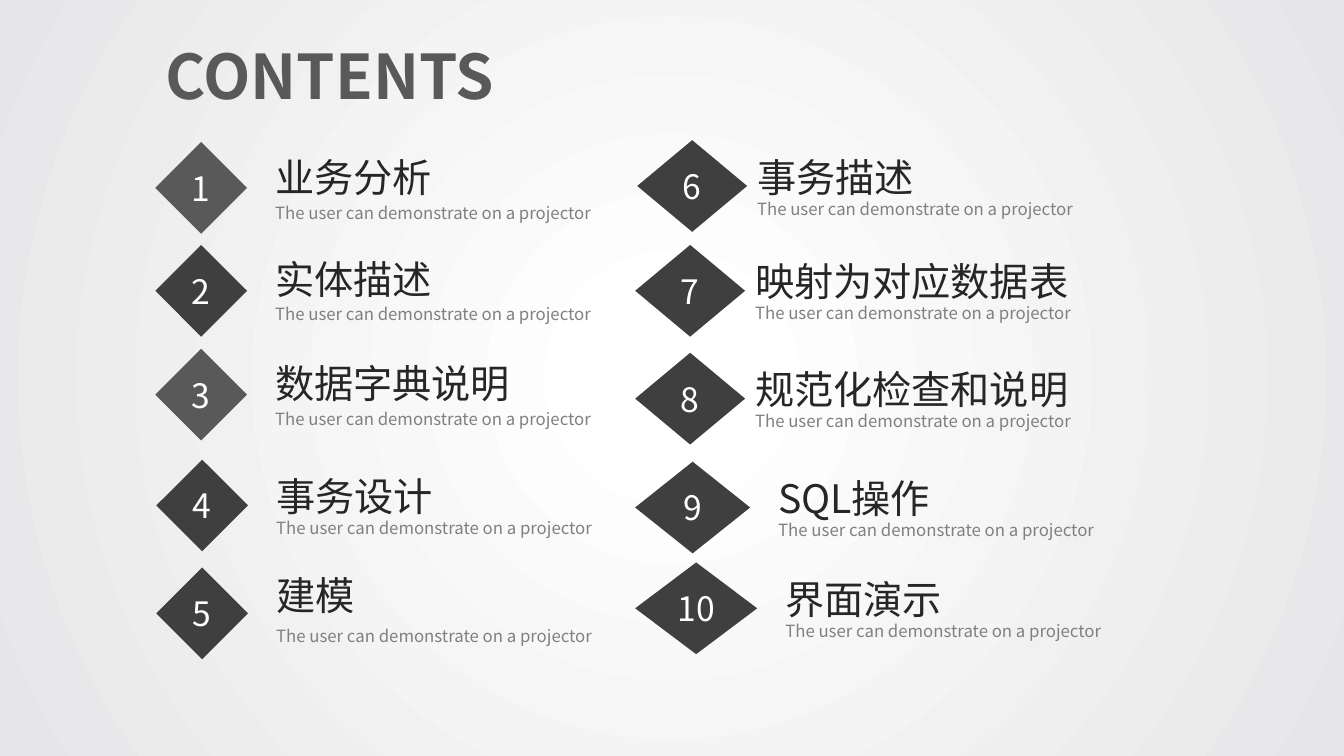
from collections import namedtuple

from lxml import etree
from pptx import Presentation
from pptx.dml.color import RGBColor
from pptx.enum.shapes import MSO_SHAPE
from pptx.enum.text import MSO_ANCHOR, MSO_AUTO_SIZE, PP_ALIGN
from pptx.oxml.ns import qn
from pptx.util import Inches, Pt

DIAMOND = MSO_SHAPE.DIAMOND
MIDDLE = MSO_ANCHOR.MIDDLE
GROW = MSO_AUTO_SIZE.SHAPE_TO_FIT_TEXT
LEFT, CENTER, JUSTIFY = PP_ALIGN.LEFT, PP_ALIGN.CENTER, PP_ALIGN.JUSTIFY

WHITE = RGBColor(0xFF, 0xFF, 0xFF)
EDGE = RGBColor(0xE6, 0xE6, 0xE8)
LIGHT = RGBColor(0x59, 0x59, 0x59)
DARK = RGBColor(0x3F, 0x3F, 0x3F)
INK = RGBColor(0x26, 0x26, 0x26)
GREY = RGBColor(0x80, 0x80, 0x80)

FONT = "Noto Sans CJK SC"
CAPTION = "The user can demonstrate on a projector"
DIAMOND_H = 0.91

# Diamond left, top, width and fill; text indent from the diamond's left;
# title top and width; caption top and width
Entry = namedtuple("Entry", "title left top width fill indent title_top title_w "
                            "caption_top caption_w", defaults=[3.78])
ENTRIES = [
    Entry("业务分析", 1.54, 1.41, 0.91, LIGHT, 1.09, 1.47, 2.62, 1.93),
    Entry("实体描述", 1.54, 2.43, 0.91, DARK, 1.09, 2.48, 2.62, 2.94),
    Entry("数据字典说明", 1.54, 3.46, 0.91, LIGHT, 1.09, 3.52, 2.62, 3.98),
    Entry("事务设计", 1.55, 4.56, 0.91, DARK, 1.09, 4.64, 2.62, 5.06),
    Entry("建模", 1.55, 5.63, 0.91, DARK, 1.09, 5.62, 1.81, 6.13),
    Entry("事务描述", 6.32, 1.39, 1.09, DARK, 1.09, 1.47, 2.62, 1.89),
    Entry("映射为对应数据表", 6.3, 2.43, 1.09, DARK, 1.09, 2.5, 3.6, 2.93),
    Entry("规范化检查和说明", 6.3, 3.5, 1.09, DARK, 1.09, 3.58, 3.6, 4),
    Entry("SQL操作", 6.3, 4.58, 1.14, DARK, 1.32, 4.66, 2.75, 5.08, 3.73),
    Entry("界面演示", 6.3, 5.58, 1.21, DARK, 1.39, 5.66, 2.88, 6.08),
]


def set_background(s):
    """Fill the slide with a gradient that spreads in circles from its centre."""
    fill = s.background.fill
    fill.gradient()
    for stop, position, color in zip(fill.gradient_stops, (0.09, 1), (WHITE, EDGE)):
        stop.position = position
        stop.color.rgb = color
    grad = s.element.find(".//" + qn("a:gradFill"))
    lin = grad.find(qn("a:lin"))
    circle = etree.Element(qn("a:path"), {"path": "circle"})
    etree.SubElement(circle, qn("a:fillToRect"), dict.fromkeys("ltrb", "50000"))
    grad.replace(lin, circle)


def write(tf, text, size, color, align=LEFT, bold=False, spacing=None):
    p = tf.paragraphs[0]
    p.alignment = align
    p.line_spacing = spacing
    r = p.add_run()
    r.text = text
    for name, value in {"size": Pt(size), "bold": bold, "name": FONT}.items():
        setattr(r.font, name, value)
    r.font.color.rgb = color
    etree.SubElement(r._r.get_or_add_rPr(), qn("a:ea"), {"typeface": FONT})


def add_text(shapes, box, text, size, color, **style):
    tf = shapes.add_textbox(*map(Inches, box)).text_frame
    tf.word_wrap = True
    tf.auto_size = GROW
    write(tf, text, size, color, **style)


def add_diamond(shapes, box, number, fill):
    sp = shapes.add_shape(DIAMOND, *map(Inches, box))
    sp.shadow.inherit = False
    sp.fill.solid()
    sp.fill.fore_color.rgb = fill
    sp.line.fill.background()
    tf = sp.text_frame
    tf.vertical_anchor = MIDDLE
    tf.margin_left = tf.margin_right = 0
    write(tf, str(number), 24, WHITE, align=CENTER)


def add_entry(s, number, entry):
    shapes = s.shapes.add_group_shape().shapes
    text_left = entry.left + entry.indent
    add_diamond(shapes, (entry.left, entry.top, entry.width, DIAMOND_H),
                number, entry.fill)
    add_text(shapes, (text_left, entry.title_top, entry.title_w, 0.57),
             entry.title, 28, INK, align=JUSTIFY)
    add_text(shapes, (text_left, entry.caption_top, entry.caption_w, 0.31),
             CAPTION, 12, GREY, spacing=1.14)


def main():
    prs = Presentation()
    prs.slide_width, prs.slide_height = Inches(13.33), Inches(7.5)
    s = prs.slides.add_slide(prs.slide_layouts[6])
    set_background(s)
    add_text(s.shapes, (1.54, 0.33, 3.67, 0.84), "CONTENTS", 44, LIGHT, bold=True)
    for number, entry in enumerate(ENTRIES, 1):
        add_entry(s, number, entry)
    prs.save("out.pptx")


if __name__ == "__main__":
    main()
